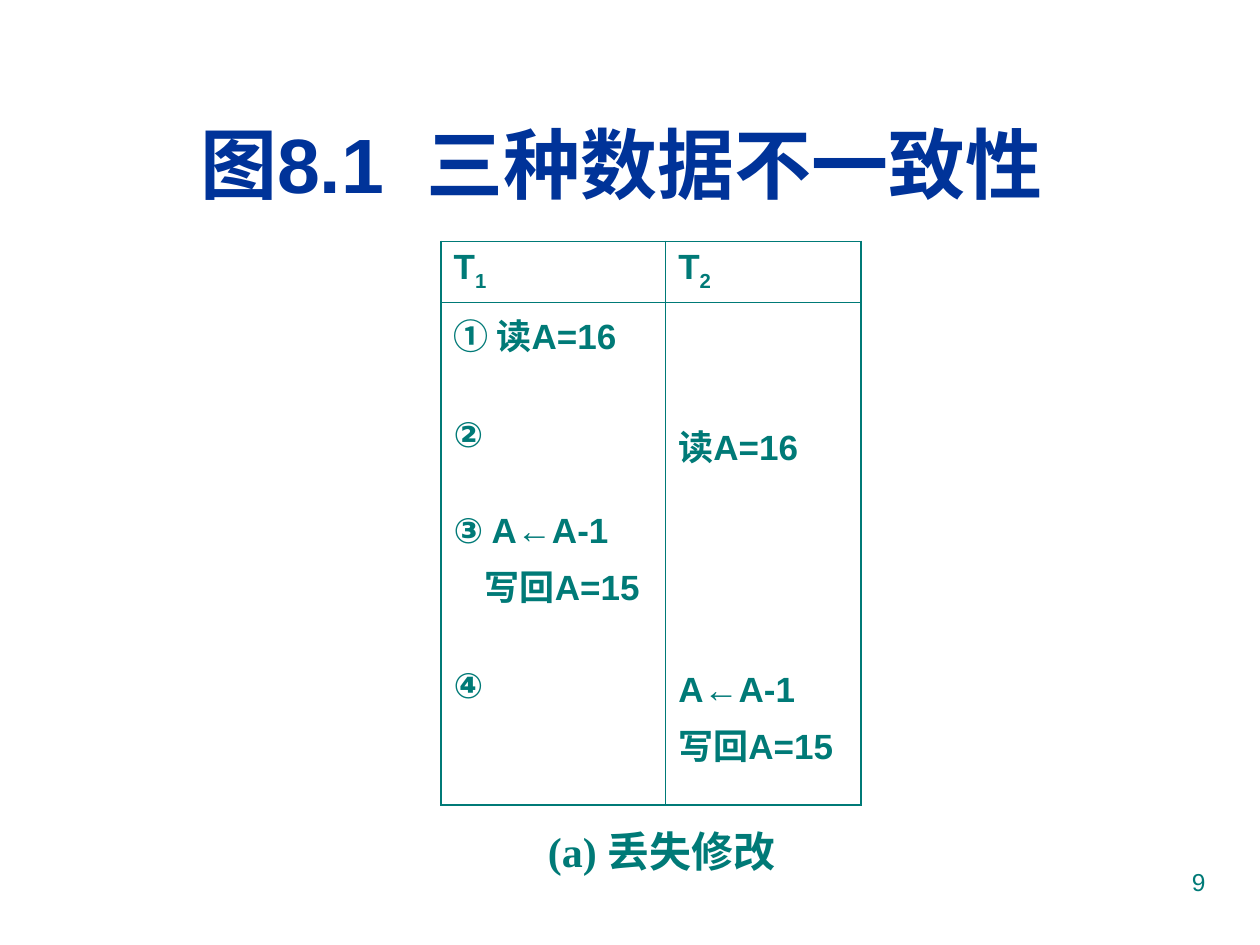
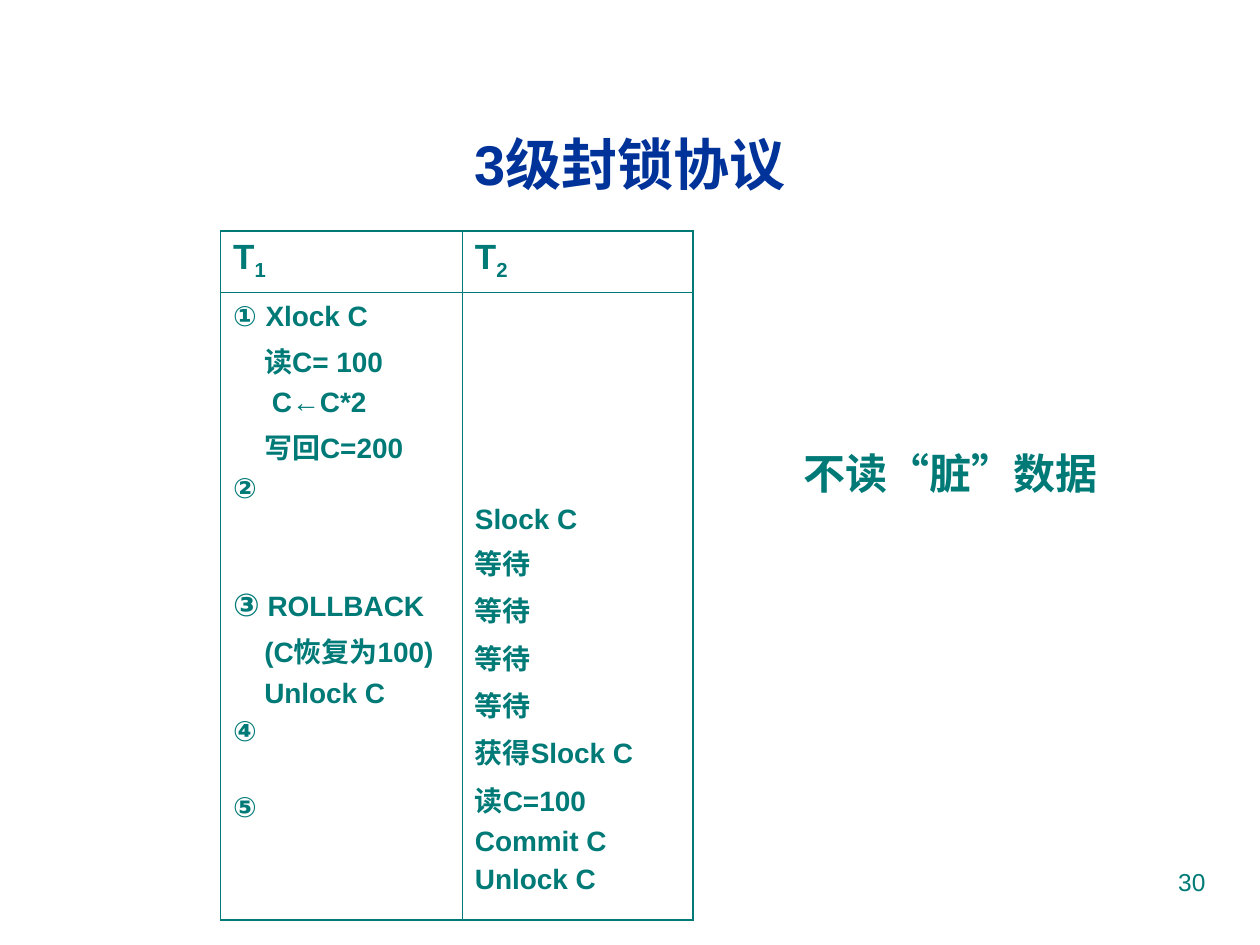
"""Builds two slides on concurrency control: lost update and the third locking protocol."""
import dataclasses

import pptx
import pptx.dml.color
import pptx.enum.text
import pptx.oxml
import pptx.oxml.ns
import pptx.util

Pt = pptx.util.Pt
ALIGN = pptx.enum.text.PP_ALIGN
ANCHOR = pptx.enum.text.MSO_ANCHOR

COLORS = {"title": "003399", "body": "007A77"}
INSETS = {"margin_left": Pt(7.2), "margin_right": Pt(7.2), "margin_top": Pt(3.6), "margin_bottom": Pt(3.6)}
TITLE_BOX = (24, 48, 672.5, 90)
PAGE_BOX = (516, 492, 180, 37.5)
HEADER_HEIGHT = 34.8
OUTER_LINE, INNER_LINE = 1.08, 0.45
STEP_INDENT = 17.8


@dataclasses.dataclass
class Step:
    """One line of a transaction; pieces are (text, size) pairs when sizes are mixed."""
    text: str = ""
    before: float = None
    indent: float = 0
    pieces: tuple = ()


def apply(target, formats):
    """Set every attribute named in formats on target."""
    for name, value in formats.items():
        setattr(target, name, value)


def add_run(paragraph, text, size, color="body", font="Arial", bold=True, extra=None):
    """Append a run, with extra run properties such as baseline or spacing."""
    run = paragraph.add_run()
    run.text = text
    apply(run.font, {"name": font, "size": Pt(size), "bold": bold})
    run.font.color.rgb = pptx.dml.color.RGBColor.from_string(COLORS[color])
    for name, value in (extra or {}).items():
        run.font._element.set(name, value)


def add_label(slide, box, runs, align=ALIGN.CENTER, anchor=ANCHOR.MIDDLE, wrap=True):
    """Add a text box with one paragraph made of the given run settings."""
    label = slide.shapes.add_textbox(*map(Pt, box)).text_frame
    apply(label, {**INSETS, "word_wrap": wrap, "vertical_anchor": anchor})
    paragraph = label.paragraphs[0]
    paragraph.alignment = align
    for run in runs:
        add_run(paragraph, **run)


def add_title(slide, pieces, size):
    """Add the slide title from (text, extra) pieces."""
    add_label(slide, TITLE_BOX, [
        {"text": text, "size": size, "color": "title", "extra": extra} for text, extra in pieces])


def add_caption(slide, box, text):
    """Add the remark that belongs to a schedule."""
    add_label(slide, box, [{"text": text, "size": 24, "font": "Times New Roman"}], wrap=False)


def add_page_number(slide, number):
    """Add the page number at the lower right."""
    add_label(slide, PAGE_BOX, [{"text": number, "size": 14, "bold": False}],
              align=ALIGN.RIGHT, anchor=ANCHOR.TOP)


def frame_cell(cell, row, column):
    """Draw thick lines on the outside of the two by two grid and thin ones inside."""
    outside = {"lnL": column == 0, "lnR": column == 1, "lnT": row == 0, "lnB": row == 1}
    namespace = pptx.oxml.ns.nsdecls("a")
    for side, outer in outside.items():
        width = Pt(OUTER_LINE if outer else INNER_LINE)
        cell._tc.get_or_add_tcPr().append(pptx.oxml.parse_xml(
            f'<a:{side} {namespace} w="{width}"><a:solidFill><a:srgbClr val="{COLORS["body"]}"/>'
            f'</a:solidFill></a:{side}>'))
    cell.fill.background()


def write_steps(cell, steps, size, spacing):
    """Write the steps of one transaction into its cell."""
    for index, step in enumerate(steps):
        paragraph = cell.text_frame.paragraphs[0] if index == 0 else cell.text_frame.add_paragraph()
        if index:
            paragraph.space_before = Pt(spacing if step.before is None else step.before)
        if step.indent:
            paragraph._p.get_or_add_pPr().set("marL", str(Pt(step.indent)))
        for text, piece_size in step.pieces or ((step.text, size),):
            add_run(paragraph, text, piece_size)


def add_schedule(slide, box, first_width, transactions, size, spacing, second_start):
    """Add the T1 and T2 schedule; second_start is the top margin of the T2 steps."""
    left, top, width, height = box
    table = slide.shapes.add_table(2, 2, *map(Pt, box)).table
    apply(table, {"first_row": False, "horz_banding": False})
    for column, column_width in zip(table.columns, (first_width, width - first_width)):
        column.width = Pt(column_width)
    for row, row_height in zip(table.rows, (HEADER_HEIGHT, height - HEADER_HEIGHT)):
        row.height = Pt(row_height)
    for column, steps in enumerate(transactions):
        header, body = table.cell(0, column), table.cell(1, column)
        for row, cell in enumerate((header, body)):
            apply(cell, INSETS)
            frame_cell(cell, row, column)
        name = header.text_frame.paragraphs[0]
        add_run(name, "T", 20)
        add_run(name, str(column + 1), 20, extra={"baseline": "-25000"})
        write_steps(body, steps, size, spacing)
    table.cell(1, 1).margin_top = Pt(second_start)


def build_lost_update(slide):
    """Build the slide on the lost update."""
    add_title(slide, [("图8.1", None), (" ", {"spc": "1200"}), ("三种数据不一致性 ", None)], 44)
    gap = 32.4
    first = [Step("① 读A=16"), Step("②", gap), Step("③ A←A-1", gap),
             Step("写回A=15", indent=STEP_INDENT), Step("④", gap)]
    second = [Step("读A=16"), Step("A←A-1", 114.5), Step("写回A=15")]
    add_schedule(slide, (252, 138, 240, 322), 128.4, (first, second),
                 size=20, spacing=5, second_start=67.3)
    add_caption(slide, (276, 462, 204, 48), "(a) 丢失修改")
    add_page_number(slide, "9")


def build_locking_protocol(slide):
    """Build the slide on the third locking protocol."""
    add_title(slide, [("3级封锁协议", None)], 32)
    first = [Step(pieces=(("①", 16), (" ", 18), ("Xlock C", 16))),
             Step("读C= 100", indent=STEP_INDENT),
             Step("C←C*2", indent=22.2),
             Step("写回C=200", indent=STEP_INDENT),
             Step("②"),
             Step(before=48, pieces=(("③", 18), (" ROLLBACK", 16))),
             Step("(C恢复为100)", indent=STEP_INDENT),
             Step("Unlock C", indent=STEP_INDENT),
             Step("④"),
             Step("⑤", 25.7)]
    second = [Step(text) for text in (
        "Slock C", *["等待"] * 4, "获得Slock C", "读C=100", "Commit C", "Unlock C")]
    add_schedule(slide, (126, 132, 270, 393.8), 138.2, (first, second),
                 size=16, spacing=4, second_start=121.2)
    add_caption(slide, (444, 246, 204, 48), "不读“脏”数据 ")
    add_page_number(slide, "30")


def main():
    """Create the presentation and save it."""
    deck = pptx.Presentation()
    apply(deck, {"slide_width": Pt(720), "slide_height": Pt(540)})
    for build in (build_lost_update, build_locking_protocol):
        build(deck.slides.add_slide(deck.slide_layouts[6]))
    deck.save("out.pptx")


if __name__ == "__main__":
    main()
